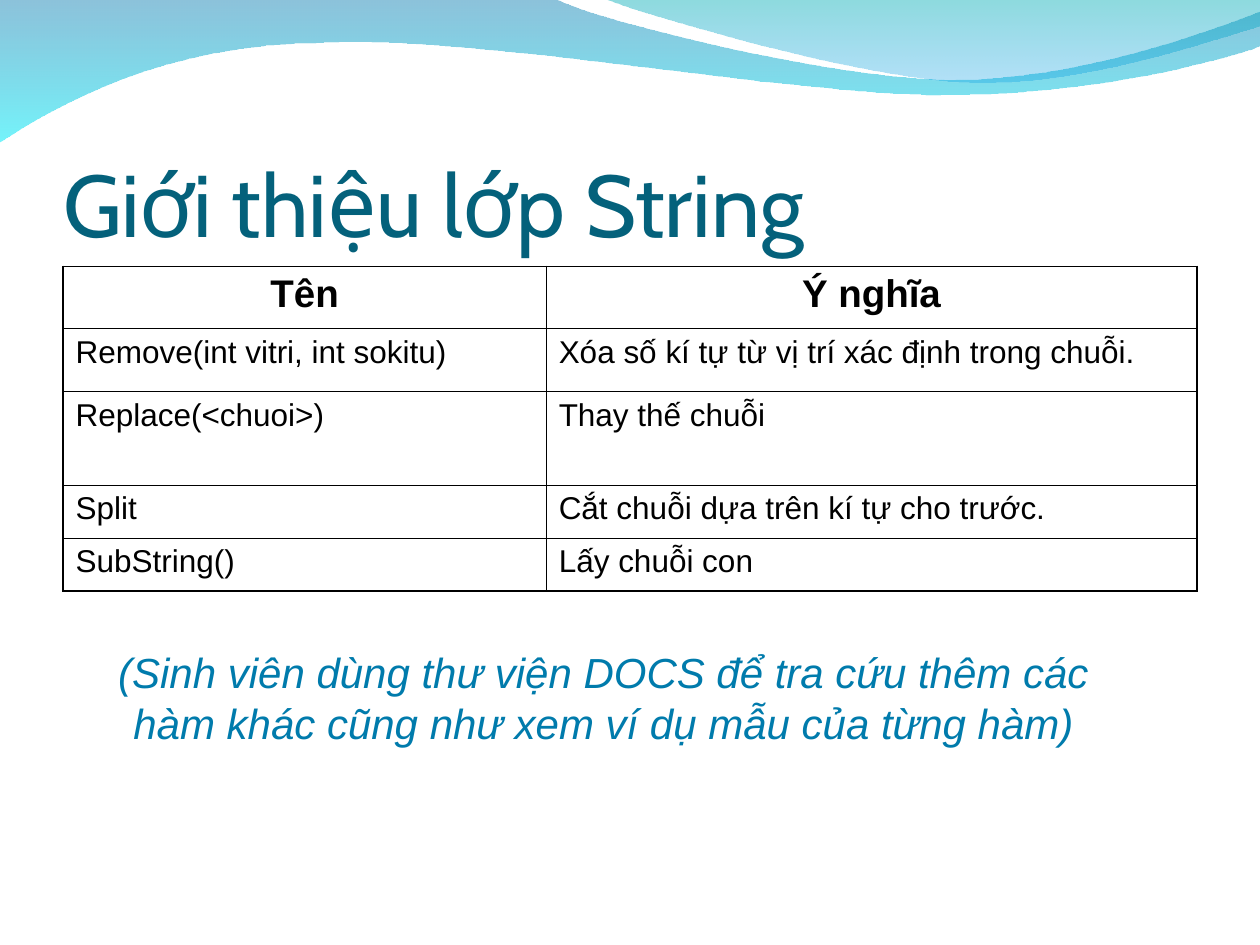
from dataclasses import dataclass

from lxml import etree
from pptx import Presentation
from pptx.dml.color import RGBColor
from pptx.enum.text import MSO_ANCHOR, PP_ALIGN
from pptx.oxml.ns import qn
from pptx.util import Inches, Pt

LEFT, MID = PP_ALIGN.LEFT, PP_ALIGN.CENTER
TOP, LOW = MSO_ANCHOR.TOP, MSO_ANCHOR.BOTTOM
WIDE, HIGH = Inches(10), Inches(7.5)
COLS, ROWS = 20, 15


@dataclass(frozen=True)
class Theme:
    title: str = "04617B"
    note: str = "007BAC"
    ink: str = "000000"
    head: str = "Cabin"
    body: str = "Arial"
    big: float = 50
    mid: float = 24
    top: float = 22
    cell: float = 18
    edge: float = 1.08
    rule: float = 0.45


@dataclass(frozen=True)
class Box:
    x: float
    y: float
    w: float
    h: float

    def place(self) -> tuple[int, int, int, int]:
        return across(self.x), down(self.y), across(self.w), down(self.h)


@dataclass(frozen=True)
class Style:
    size: float
    font: str
    color: str
    align: int = LEFT
    space: float = 0
    bold: bool = False
    italic: bool = False


@dataclass(frozen=True)
class Wave:
    start: tuple
    moves: tuple
    stops: tuple


THEME = Theme()
TITLE = Style(THEME.big, THEME.head, THEME.title)
HEAD = Style(THEME.top, THEME.body, THEME.ink, MID, 5.5, bold=True)
CELL = Style(THEME.cell, THEME.body, THEME.ink, space=4.5)
NOTE = Style(THEME.mid, THEME.body, THEME.note, MID, 15, italic=True)
WAVES = (
    Wave(
        (0, -0.01),
        (
            (4.4, -0.01),
            (4.76, 0.17, 6.64, 0.63, 7.58, 0.63),
            (8.53, 0.63, 9.58, 0.26, 10, 0.09),
            (10.01, 0.36),
            (9.83, 0.44, 8.7, 0.76, 7.46, 0.75),
            (6.22, 0.75, 3.82, 0.28, 2.57, 0.34),
            (1.29, 0.35, 0.46, 0.83, -0.01, 1.13),
        ),
        (("0079AF", 45), ("00EBF8", 55)),
    ),
    Wave(
        (4.79, -0.01),
        (
            (5.09, 0.11, 6.82, 0.62, 7.69, 0.65),
            (8.56, 0.69, 9.61, 0.32, 10, 0.21),
            (10, 0),
        ),
        (("00ADB6", 45), ("009BE5", 30)),
    ),
)
GRID = (
    ("Tên", "Ý nghĩa"),
    ("Remove(int vitri, int sokitu)", "Xóa số kí tự từ vị trí xác định trong chuỗi."),
    ("Replace(<chuoi>)", "Thay thế chuỗi"),
    ("Split", "Cắt chuỗi dựa trên kí tự cho trước."),
    ("SubString()", "Lấy chuỗi con"),
)
SPANS = (7.67, 10.33)
TALL = (0.99, 0.99, 1.49, 0.84, 0.84)


def across(n: float) -> int:
    return round(WIDE * n / COLS)


def down(n: float) -> int:
    return round(HIGH * n / ROWS)


def apply(item, values: dict) -> None:
    for name, value in values.items():
        setattr(item, name, value)


def write(frame, text: str, style: Style) -> None:
    para = frame.paragraphs[0]
    apply(para, {"alignment": style.align, "space_before": Pt(style.space), "line_spacing": 1.0})
    run = para.add_run()
    run.text = text
    apply(run.font, {"size": Pt(style.size), "name": style.font,
                     "bold": style.bold, "italic": style.italic})
    run.font.color.rgb = RGBColor.from_string(style.color)


def bend(shape, wave: Wave) -> None:
    lines = list(shape.element.spPr.iter(qn("a:lnTo")))
    for line, move in zip(lines, wave.moves):
        if len(move) == 2:
            continue
        curve = etree.Element(qn("a:cubicBezTo"))
        for x, y in zip(move[::2], move[1::2]):
            etree.SubElement(curve, qn("a:pt"), x=str(Inches(x) - shape.left),
                             y=str(Inches(y) - shape.top))
        line.getparent().replace(line, curve)


def draw_wave(slide, wave: Wave) -> None:
    pen = slide.shapes.build_freeform(*map(Inches, wave.start))
    ends = [tuple(map(Inches, move[-2:])) for move in wave.moves]
    pen.add_line_segments(ends, close=True)
    shape = pen.convert_to_shape()
    bend(shape, wave)
    shape.shadow.inherit = False
    shape.line.fill.background()
    shape.fill.gradient()
    shape.fill.gradient_angle = 270
    for stop, (color, _) in zip(shape.fill.gradient_stops, wave.stops):
        stop.color.rgb = RGBColor.from_string(color)
    marks = shape.element.spPr.iter(qn("a:srgbClr"))
    for mark, (_, alpha) in zip(list(marks), wave.stops):
        etree.SubElement(mark, qn("a:alpha"), val=str(alpha * 1000))


def frame_cell(cell, edges: dict) -> None:
    props = cell._tc.get_or_add_tcPr()
    for side, outer in edges.items():
        width = Pt(THEME.edge if outer else THEME.rule)
        line = etree.SubElement(props, qn(f"a:ln{side}"), w=str(width))
        fill = etree.SubElement(line, qn("a:solidFill"))
        etree.SubElement(fill, qn("a:srgbClr"), val=THEME.ink)
    cell.fill.background()


def draw_table(slide, box: Box) -> None:
    table = slide.shapes.add_table(len(TALL), len(SPANS), *box.place()).table
    apply(table, {"first_row": False, "horz_banding": False})
    for col, span in zip(table.columns, SPANS):
        col.width = across(span)
    for row, tall in zip(table.rows, TALL):
        row.height = down(tall)
    for y, texts in enumerate(GRID):
        for x, text in enumerate(texts):
            cell = table.cell(y, x)
            write(cell.text_frame, text, CELL if y else HEAD)
            frame_cell(cell, {"L": x == 0, "R": x == len(SPANS) - 1,
                              "T": y == 0, "B": y == len(TALL) - 1})


def main() -> None:
    deck = Presentation()
    apply(deck, {"slide_width": WIDE, "slide_height": HIGH})
    slide = deck.slides.add_slide(deck.slide_layouts[5])
    title = slide.shapes.title
    for wave in WAVES:
        draw_wave(slide, wave)
    slide.shapes.element.append(title.element)
    spot = Box(1, 1.55, 18, 2.5).place()
    apply(title, dict(zip(("left", "top", "width", "height"), spot)))
    apply(title.text_frame, {"vertical_anchor": LOW, "word_wrap": True, "margin_left": 0,
                             "margin_right": 0, "margin_top": Inches(0.05), "margin_bottom": 0})
    write(title.text_frame, "Giới thiệu lớp String", TITLE)
    draw_table(slide, Box(1, 4.23, sum(SPANS), sum(TALL)))
    note = slide.shapes.add_textbox(*Box(1, 10.17, 17.16, 1.8).place()).text_frame
    apply(note, {"word_wrap": True, "vertical_anchor": TOP})
    write(note, "(Sinh viên dùng thư viện DOCS để tra cứu thêm các "
                "hàm khác cũng như xem ví dụ mẫu của từng hàm)", NOTE)
    deck.save("out.pptx")


if __name__ == "__main__":
    main()
